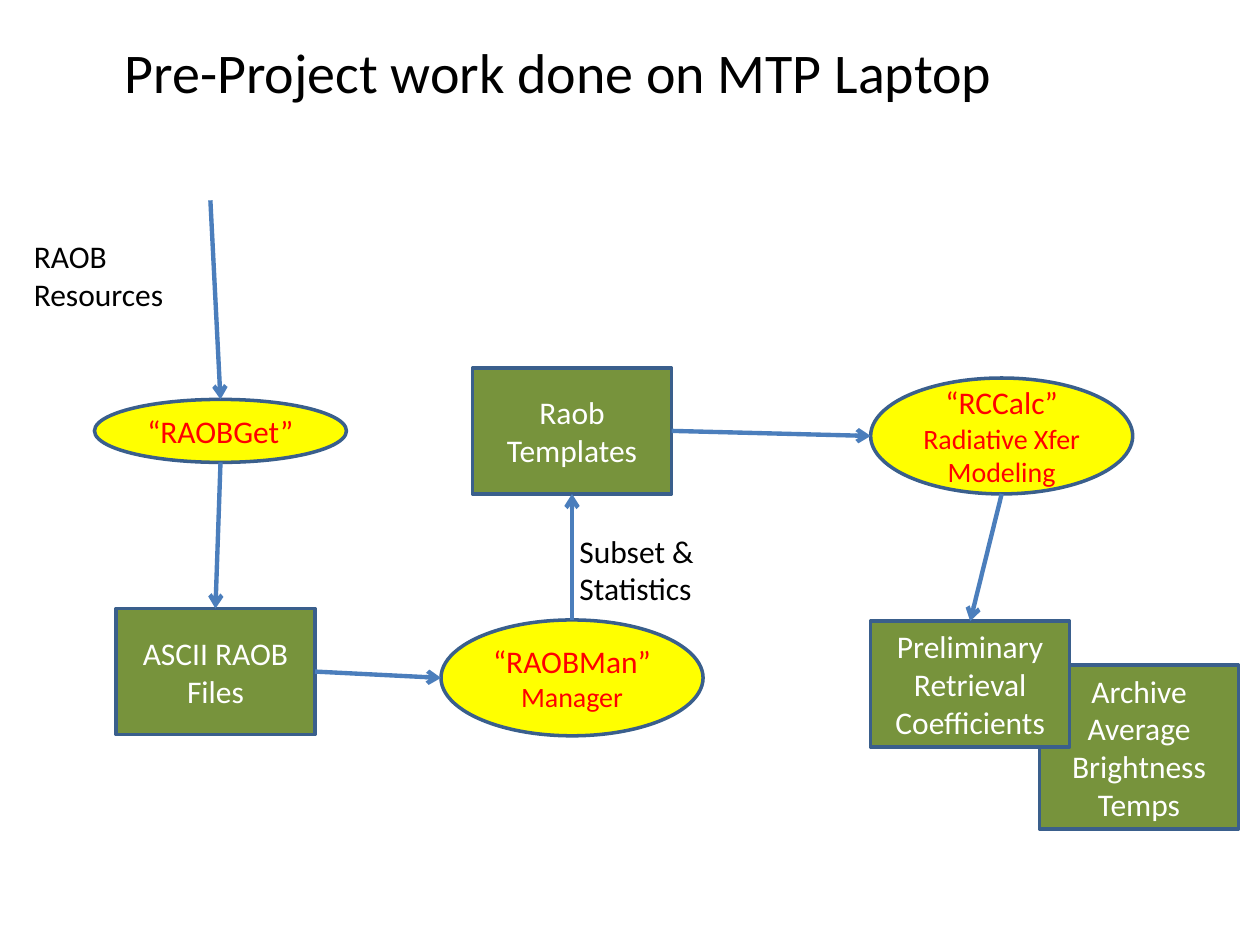
import pptx
import pptx.util
import pptx.dml.color
import pptx.enum.shapes
import pptx.enum.text
import pptx.oxml.ns
from lxml import etree

Inches = pptx.util.Inches
Pt = pptx.util.Pt
RGB = pptx.dml.color.RGBColor.from_string
MSO = pptx.enum.shapes.MSO_SHAPE
PP = pptx.enum.text.PP_ALIGN
qn = pptx.oxml.ns.qn

COLORS = {
    "process": "FFFF00", "process_text": "FF0000",
    "data": "77933C", "data_text": "FFFFFF",
    "outline": "3A5F8C", "arrow": "4B7EBC", "text": "000000",
}

prs = pptx.Presentation()
prs.slide_width, prs.slide_height = Inches(10), Inches(7.5)
s = prs.slides.add_slide(prs.slide_layouts[6])


def write(tf, lines, color, align):
    """Fill a text frame with (text, size) lines."""
    for i, (text, size) in enumerate(lines):
        p = tf.paragraphs[0] if i == 0 else tf.add_paragraph()
        p.text = text
        p.alignment = align
        p.font.name = "Calibri"
        p.font.size = Pt(size)
        p.font.color.rgb = RGB(COLORS[color])


# Processes (ellipses) and data (rectangles), back to front
nodes = [
    ("process", 0.75, 3.17, 2, 0.5, [("“RAOBGet”", 18)]),
    ("data", 0.92, 4.83, 1.58, 1, [("ASCII RAOB Files", 18)]),
    ("process", 3.5, 4.92, 2.08, 0.92, [("“RAOBMan”", 18), ("Manager", 16)]),
    ("data", 3.75, 2.92, 1.58, 1, [("Raob Templates", 18)]),
    ("process", 6.91, 3, 2.08, 0.92,
     [("“RCCalc”", 18), ("Radiative Xfer Modeling", 16)]),
    ("data", 8.25, 5.28, 1.58, 1.3, [("Archive Average Brightness Temps", 18)]),
    ("data", 6.91, 4.93, 1.58, 1, [("Preliminary Retrieval Coefficients", 18)]),
]
for kind, x, y, w, h, lines in nodes:
    shape = MSO.OVAL if kind == "process" else MSO.RECTANGLE
    sp = s.shapes.add_shape(shape, Inches(x), Inches(y), Inches(w), Inches(h))
    sp.shadow.inherit = False
    sp.fill.solid()
    sp.fill.fore_color.rgb = RGB(COLORS[kind])
    sp.line.color.rgb = RGB(COLORS["outline"])
    sp.line.width = Pt(2)
    tf = sp.text_frame
    tf.word_wrap = True
    tf.vertical_anchor = pptx.enum.text.MSO_ANCHOR.MIDDLE
    write(tf, lines, kind + "_text", PP.CENTER)

# Flow arrows: start x, y, end x, y
arrows = [
    (1.67, 1.59, 1.75, 3.17),
    (1.75, 3.67, 1.71, 4.83),
    (2.5, 5.33, 3.5, 5.38),
    (4.54, 4.92, 4.54, 3.92),
    (5.33, 3.42, 6.91, 3.46),
    (7.95, 3.92, 7.7, 4.93),
]
for points in arrows:
    cx = s.shapes.add_connector(pptx.enum.shapes.MSO_CONNECTOR.STRAIGHT,
                                *[Inches(v) for v in points])
    cx.line.color.rgb = RGB(COLORS["arrow"])
    cx.line.width = Pt(2.5)
    etree.SubElement(cx.line._get_or_add_ln(), qn("a:tailEnd"), type="arrow")
    etree.SubElement(cx._element.spPr, qn("a:effectLst"))

# Title and labels
labels = [
    (0.89, 0.25, 7.15, 0.64, False, [("Pre-Project work done on MTP Laptop", 32)]),
    (0.17, 1.83, 1.3, 0.71, True, [("RAOB Resources", 18)]),
    (4.5, 4.17, 1.18, 0.71, False, [("Subset &", 18), ("Statistics", 18)]),
]
for x, y, w, h, wrap, lines in labels:
    sp = s.shapes.add_textbox(Inches(x), Inches(y), Inches(w), Inches(h))
    tf = sp.text_frame
    tf.word_wrap = wrap
    tf.auto_size = pptx.enum.text.MSO_AUTO_SIZE.SHAPE_TO_FIT_TEXT
    write(tf, lines, "text", PP.LEFT)

prs.save("out.pptx")
